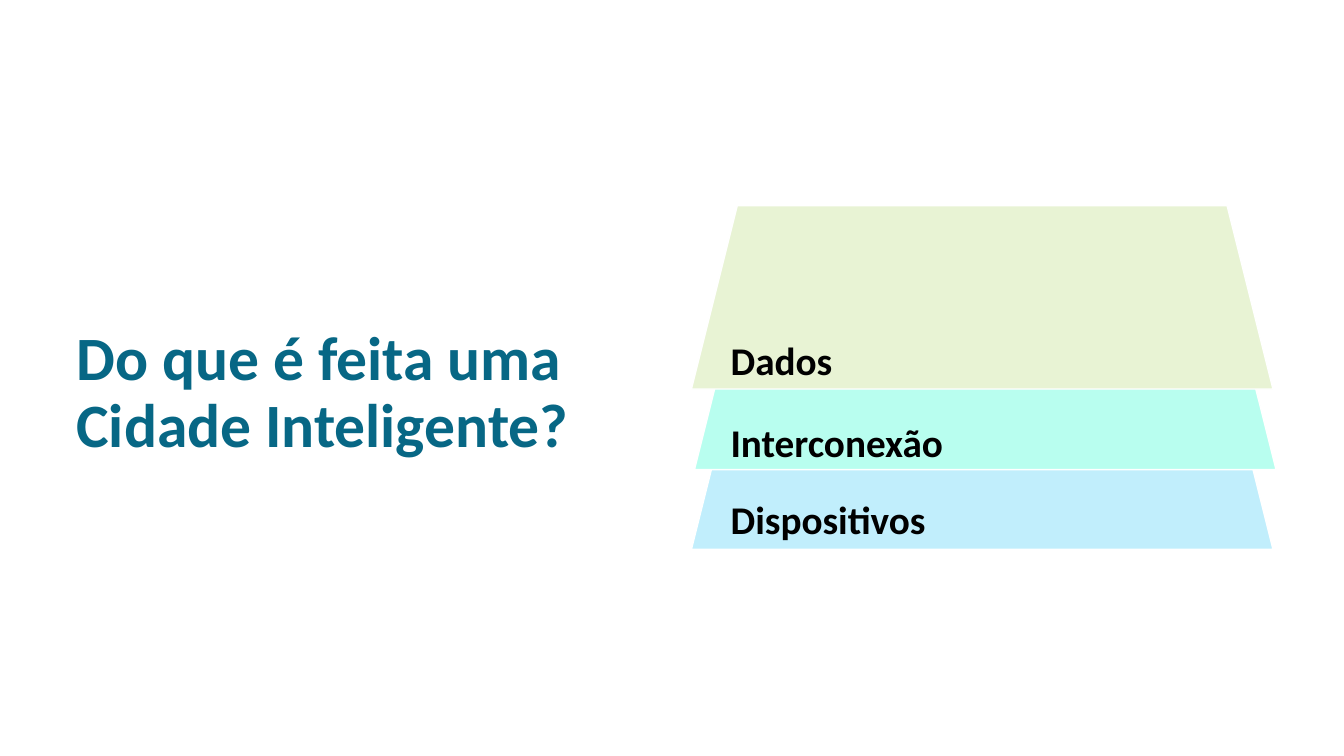
"""Build the slide about the layers of a smart city."""
from dataclasses import dataclass

from pptx import Presentation
from pptx.dml.color import RGBColor
from pptx.enum.shapes import MSO_SHAPE
from pptx.enum.text import MSO_ANCHOR
from pptx.util import Pt

TITLE = "Do que é feita uma Cidade Inteligente?"
LAYERS = [
    {"name": "Dispositivos", "fill": "C1EEFC", "left": 493.9, "top": 261.4, "label_top": 349.9, "label_width": 200.9},
    {"name": "Interconexão", "fill": "B8FEEF", "left": 496.1, "top": 204.5, "label_top": 295.2, "label_width": 235.4},
    {"name": "Dados", "fill": "E8F3D4", "left": 493.9, "top": 146.9, "label_top": 236.9, "label_width": 200.9},
]
LAYER_SIZE = (415.4, 131)
LABEL_LEFT, LABEL_HEIGHT = 514.8, 41


@dataclass(frozen=True)
class Theme:
    font: str = "Calibri"
    title_color: str = "076785"
    label_color: str = "000000"
    edge_color: str = "FFFFFF"
    title_size: int = 44
    label_size: int = 28


THEME = Theme()


def add_text(page, text, *, area, size, color, anchor=MSO_ANCHOR.TOP, spacing=1.0):
    box = page.shapes.add_textbox(*map(Pt, area))
    frame = box.text_frame
    frame.word_wrap = True
    frame.vertical_anchor = anchor
    para = frame.paragraphs[0]
    para.line_spacing = spacing
    span = para.add_run()
    span.text = text
    span.font.name = THEME.font
    span.font.size = Pt(size)
    span.font.bold = True
    span.font.color.rgb = RGBColor.from_string(color)


def add_layer(page, layer):
    area = (layer["left"], layer["top"], *LAYER_SIZE)
    shape = page.shapes.add_shape(MSO_SHAPE.TRAPEZOID, *map(Pt, area))
    shape.shadow.inherit = False
    shape.fill.solid()
    shape.fill.fore_color.rgb = RGBColor.from_string(layer["fill"])
    shape.line.color.rgb = RGBColor.from_string(THEME.edge_color)
    shape.line.width = Pt(1)


def main():
    deck = Presentation()
    deck.slide_width, deck.slide_height = Pt(960), Pt(540)
    page = deck.slides.add_slide(deck.slide_layouts[6])
    add_text(page, TITLE, area=(47.5, 183.6, 391.7, 195.8), size=THEME.title_size,
             color=THEME.title_color, anchor=MSO_ANCHOR.MIDDLE, spacing=0.9)
    for layer in LAYERS:
        add_layer(page, layer)
    for layer in LAYERS:
        area = (LABEL_LEFT, layer["label_top"], layer["label_width"], LABEL_HEIGHT)
        add_text(page, layer["name"], area=area, size=THEME.label_size, color=THEME.label_color)
    deck.save("out.pptx")


if __name__ == "__main__":
    main()
